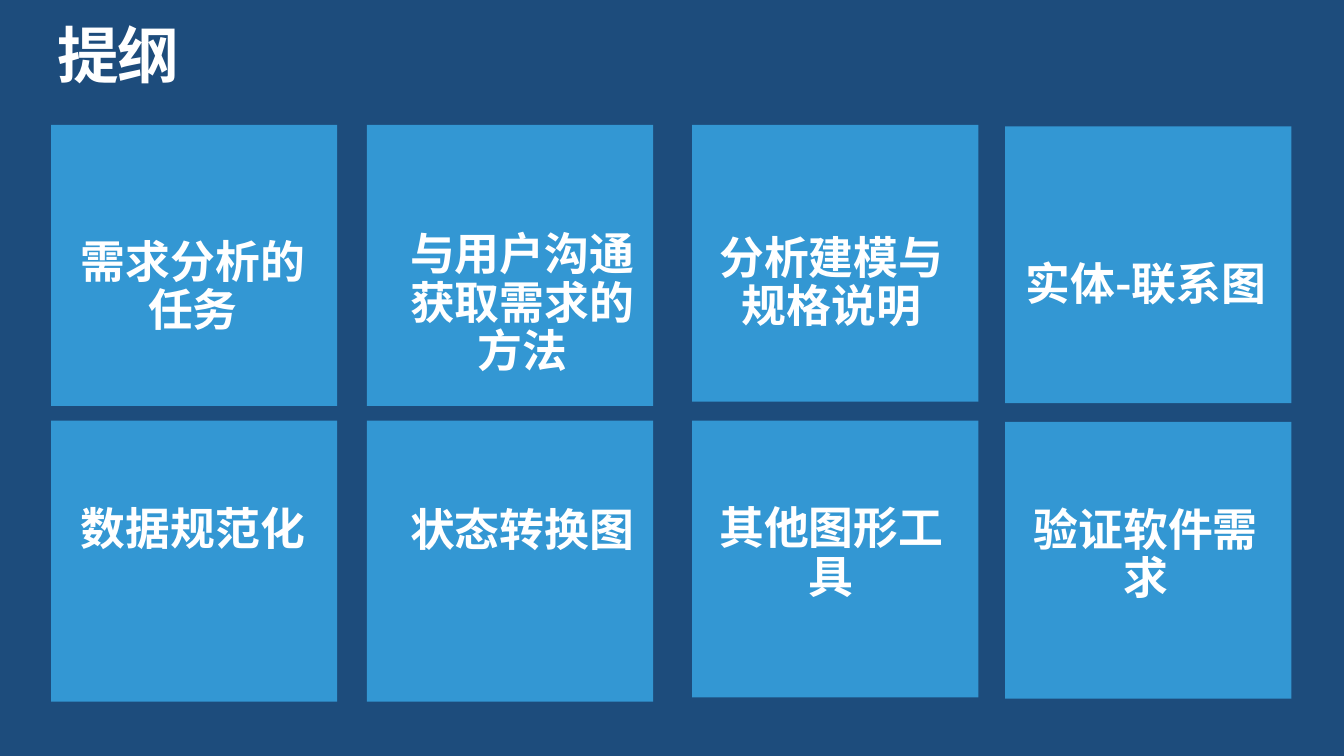
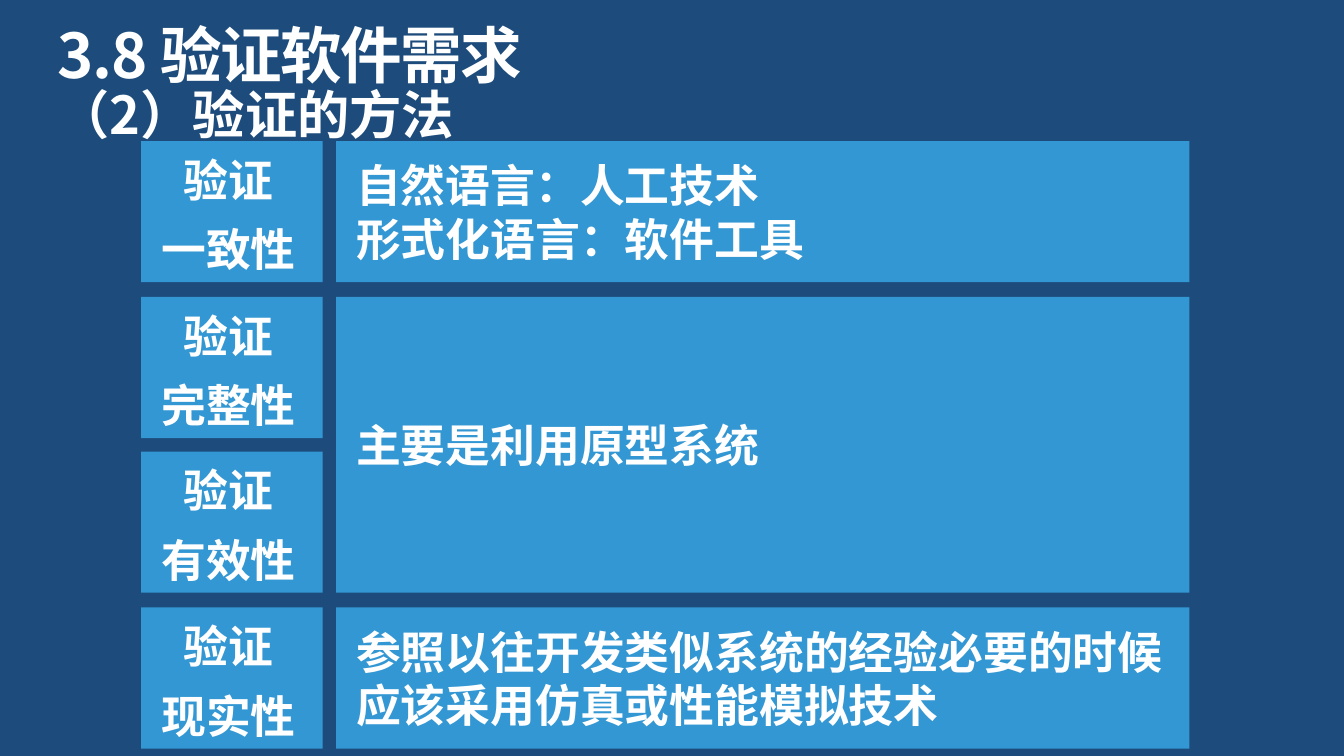
from dataclasses import dataclass

from lxml import etree
from pptx import Presentation
from pptx import util as u
from pptx.dml.color import RGBColor
from pptx.enum import shapes, text
from pptx.oxml.ns import qn

PX = 9144  # 100 px to the inch
SLIDE_W = 1000 * PX
SLIDE_H = SLIDE_W * 9 // 16
FONT = "Noto Sans CJK SC"
COLORS = {"back": "1D4C7C", "tile": "3397D3", "text": "FFFFFF"}
MIDDLE, BOTTOM = text.MSO_ANCHOR.MIDDLE, text.MSO_ANCHOR.BOTTOM
CENTER = text.PP_ALIGN.CENTER

TILE_W, LABEL_W = 213, 179
ROW_TOPS = (93, 313)
STEP_TOP, STEP_H, STEP_PITCH = 105, 105, 347 / 3


@dataclass(frozen=True)
class Box:
    left: int
    top: int
    width: int
    height: int

    def emu(self) -> list:
        return [n * PX for n in (self.left, self.top, self.width, self.height)]


@dataclass(frozen=True)
class Style:
    size: int = 24
    anchor: text.MSO_ANCHOR = text.MSO_ANCHOR.TOP
    align: text.PP_ALIGN = text.PP_ALIGN.LEFT
    insets: tuple = (0, 0, 0, 0)
    line: float = 1.0
    gap: float = 0
    after: float = 0
    tracking: int = 0
    grow: bool = False


@dataclass(frozen=True)
class Topic:
    label: str
    text_top: int
    lines: int


@dataclass(frozen=True)
class Column:
    left: int
    text_left: int
    drop: int
    height: int
    topics: tuple


@dataclass(frozen=True)
class Method:
    """A description beside one or more verified qualities."""
    first: int
    qualities: tuple
    lines: tuple


TITLE = Style(size=33, line=0.9, tracking=-80, grow=True)
SUBTITLE = Style(size=28, after=6, grow=True)
TOPIC = Style(anchor=MIDDLE, align=CENTER, line=0.9, grow=True)
QUALITY = Style(anchor=BOTTOM, align=CENTER, insets=(5, 5, 10, 5), gap=8.4)
METHOD = Style(anchor=MIDDLE, insets=(15, 13, 13, 13))

COLUMNS = (
    Column(38, 54, 0, 209, (Topic("需求分析的任务", 178, 2),
                            Topic("数据规范化", 377, 1))),
    Column(273, 299, 0, 209, (Topic("与用户沟通获取需求的方法", 172, 3),
                              Topic("状态转换图", 378, 1))),
    Column(515, 529, 0, 206, (Topic("分析建模与规格说明", 175, 2),
                              Topic("其他图形工具", 376, 2))),
    Column(748, 763, 1, 206, (Topic("实体-联系图", 176, 2),
                              Topic("验证软件需求", 377, 2))),
)
METHODS = (
    Method(0, ("一致性",), ("自然语言：人工技术", "形式化语言：软件工具")),
    Method(1, ("完整性", "有效性"), ("主要是利用原型系统",)),
    Method(3, ("现实性",),
           ("参照以往开发类似系统的经验必要的时候应该采用仿真或性能模拟技术",)),
)


def color(name: str) -> RGBColor:
    return RGBColor.from_string(COLORS[name])


def assign(obj, values: dict) -> None:
    for name, value in values.items():
        setattr(obj, name, value)


def write(sp, lines: tuple, style: Style) -> None:
    tf = sp.text_frame
    left, top, right, bottom = (n * PX for n in style.insets)
    fit = text.MSO_AUTO_SIZE
    assign(tf, {"word_wrap": True, "vertical_anchor": style.anchor,
                "auto_size": fit.SHAPE_TO_FIT_TEXT if style.grow else fit.NONE,
                "margin_left": left, "margin_top": top,
                "margin_right": right, "margin_bottom": bottom})
    for i, line in enumerate(lines):
        p = tf.add_paragraph() if i else tf.paragraphs[0]
        assign(p, {"alignment": style.align, "line_spacing": style.line,
                   "space_before": u.Pt(style.gap if i else 0),
                   "space_after": u.Pt(style.after)})
        r = p.add_run()
        r.text = line
        assign(r.font, {"name": FONT, "size": u.Pt(style.size), "bold": True})
        r.font.color.rgb = color("text")
        props = r.font._element
        etree.SubElement(props, qn("a:ea")).set("typeface", FONT)
        if style.tracking:
            props.set("spc", str(style.tracking))


def add_text(parent, box: Box, line: str, style: Style) -> None:
    write(parent.shapes.add_textbox(*box.emu()), (line,), style)


def add_tile(parent, box: Box):
    sp = parent.shapes.add_shape(shapes.MSO_SHAPE.RECTANGLE, *box.emu())
    sp.shadow.inherit = False
    sp.fill.solid()
    sp.fill.fore_color.rgb = color("tile")
    sp.line.fill.background()
    return sp


def add_slide(prs, title: str):
    s = prs.slides.add_slide(prs.slide_layouts[6])
    s.background.fill.solid()
    s.background.fill.fore_color.rgb = color("back")
    add_text(s, Box(43, 19, 915, 50), title, TITLE)
    return s


def build_outline(prs) -> None:
    s = add_slide(prs, "提纲")
    for col in COLUMNS:
        for top, topic in zip(ROW_TOPS, col.topics):
            card = s.shapes.add_group_shape()
            add_tile(card, Box(col.left, top + col.drop, TILE_W, col.height))
            label = Box(col.text_left, topic.text_top, LABEL_W, topic.lines * 73 // 2)
            add_text(card, label, topic.label, TOPIC)


def step_top(i: int) -> int:
    return STEP_TOP + round(i * STEP_PITCH)


def build_methods(prs) -> None:
    s = add_slide(prs, "3.8 验证软件需求")
    add_text(s, Box(43, 61, 915, 47), "（2）验证的方法", SUBTITLE)
    for method in METHODS:
        for i, quality in enumerate(method.qualities, method.first):
            sp = add_tile(s, Box(105, step_top(i), 135, STEP_H))
            write(sp, ("验证", quality), QUALITY)
        top = step_top(method.first)
        last = method.first + len(method.qualities) - 1
        sp = add_tile(s, Box(250, top, 635, step_top(last) + STEP_H - top))
        write(sp, method.lines, METHOD)


def main() -> None:
    prs = Presentation()
    assign(prs, {"slide_width": SLIDE_W, "slide_height": SLIDE_H})
    build_outline(prs)
    build_methods(prs)
    prs.save("out.pptx")


if __name__ == "__main__":
    main()
